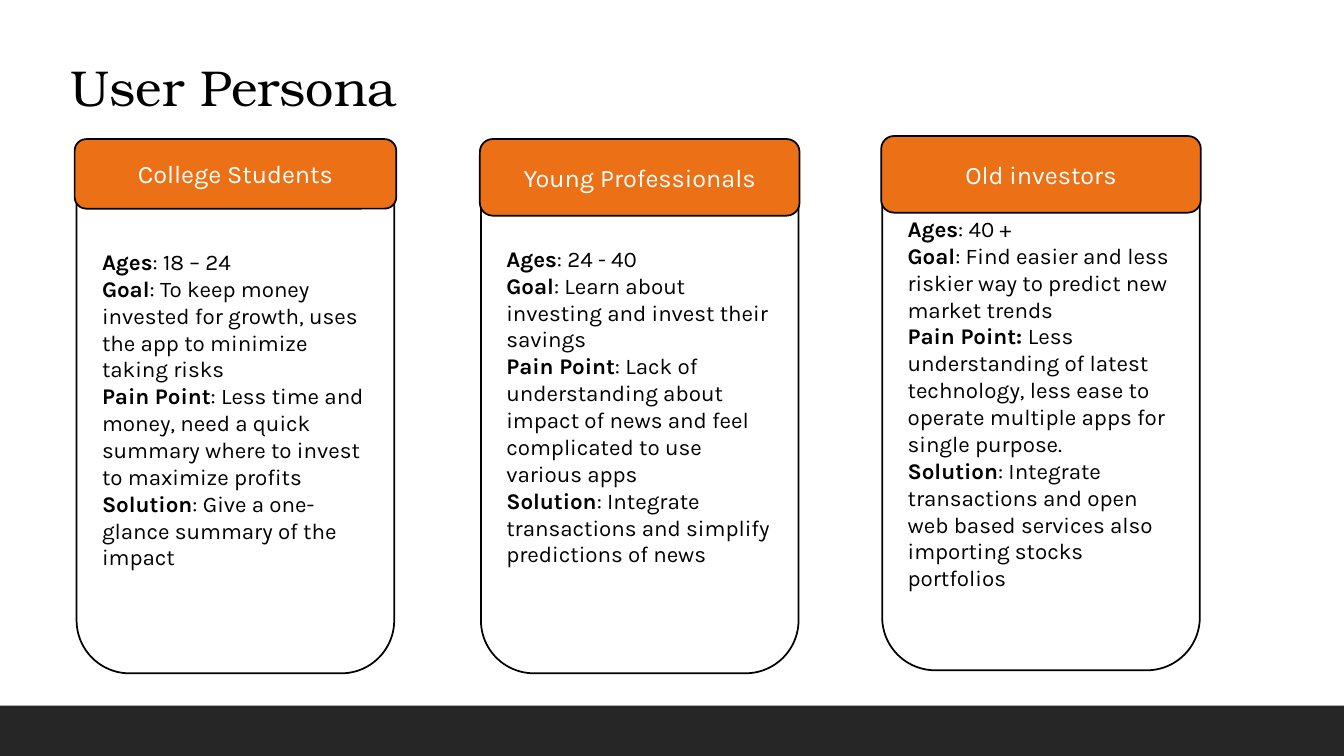
from pptx import Presentation
from pptx.dml.color import RGBColor
from pptx.enum.shapes import MSO_SHAPE
from pptx.enum.text import MSO_ANCHOR, PP_ALIGN
from pptx.util import Inches, Pt

RECTANGLE = MSO_SHAPE.RECTANGLE
ROUNDED = MSO_SHAPE.ROUNDED_RECTANGLE
MIDDLE = MSO_ANCHOR.MIDDLE
LEFT, CENTER = PP_ALIGN.LEFT, PP_ALIGN.CENTER

BLACK = RGBColor(0x00, 0x00, 0x00)
WHITE = RGBColor(0xFF, 0xFF, 0xFF)
ORANGE = RGBColor(0xEC, 0x70, 0x16)
CHARCOAL = RGBColor(0x26, 0x26, 0x26)

TITLE_FONT = "TeX Gyre Bonum"
BODY_FONT = "Karla"

# Card box, header box, heading, then (bold label, plain text) per line
PERSONAS = [
    ((0.76, 1.44, 3.15, 5.24), (0.74, 1.38, 3.19, 0.69), "College Students", [
        ("Ages", ": 18 – 24"),
        ("Goal", ": To keep money invested for growth, uses the app to "
                 "minimize taking risks"),
        ("Pain Point", ": Less time and money, need a quick summary where "
                       "to invest to maximize profits"),
        ("Solution", ": Give a one-glance summary of the impact"),
    ]),
    ((4.77, 1.38, 3.15, 5.3), (4.76, 1.38, 3.17, 0.76), "Young Professionals", [
        ("Ages", ": 24 - 40"),
        ("Goal", ": Learn about investing and invest their savings"),
        ("Pain Point", ": Lack of understanding about impact of news and "
                       "feel complicated to use various apps"),
        ("Solution", ": Integrate transactions and simplify predictions of news"),
    ]),
    ((8.75, 1.35, 3.15, 5.3), (8.74, 1.35, 3.17, 0.76), "Old investors", [
        ("Ages", ": 40 +"),
        ("Goal", ": Find easier and less riskier way to predict new "
                 "market trends"),
        ("Pain Point: ", "Less understanding of latest technology, less ease "
                         "to operate multiple apps for single purpose."),
        ("Solution", ": Integrate transactions and open web based services "
                     "also importing stocks portfolios"),
    ]),
]


def add_run(paragraph, text, font, size, color, bold=False):
    run = paragraph.add_run()
    run.text = text
    run.font.name = font
    run.font.size = Pt(size)
    run.font.color.rgb = color
    run.font.bold = bold


def add_block(slide, kind, box, fill, outlined=True):
    block = slide.shapes.add_shape(kind, *map(Inches, box))
    block.shadow.inherit = False
    block.fill.solid()
    block.fill.fore_color.rgb = fill
    if outlined:
        block.line.color.rgb = BLACK
        block.line.width = Pt(1.25)
    else:
        block.line.fill.background()
    block.text_frame.word_wrap = True
    block.text_frame.vertical_anchor = MIDDLE
    return block


def add_title(slide, text):
    title = slide.shapes.add_textbox(Inches(0.6), Inches(0.51),
                                     Inches(6.67), Inches(0.71))
    title.text_frame.word_wrap = True
    add_run(title.text_frame.paragraphs[0], text, TITLE_FONT, 36, BLACK)


def add_persona(slide, card_box, header_box, heading, traits):
    # Card with the traits
    frame = add_block(slide, ROUNDED, card_box, WHITE).text_frame
    for index, (label, detail) in enumerate(traits):
        line = frame.add_paragraph() if index else frame.paragraphs[0]
        line.alignment = LEFT
        add_run(line, label, BODY_FONT, 16, BLACK, bold=True)
        add_run(line, detail, BODY_FONT, 16, BLACK)

    # Header over the top of the card
    header = add_block(slide, ROUNDED, header_box, ORANGE)
    heading_line = header.text_frame.paragraphs[0]
    heading_line.alignment = CENTER
    add_run(heading_line, heading, BODY_FONT, 18, WHITE)


def main():
    deck = Presentation()
    deck.slide_width, deck.slide_height = Inches(13.33), Inches(7.5)
    slide = deck.slides.add_slide(deck.slide_layouts[6])

    # Footer band and title
    add_block(slide, RECTANGLE, (0, 7, 13.33, 0.5), CHARCOAL, outlined=False)
    add_title(slide, "User Persona")

    # Persona cards
    for persona in PERSONAS:
        add_persona(slide, *persona)

    deck.save("out.pptx")


if __name__ == "__main__":
    main()
